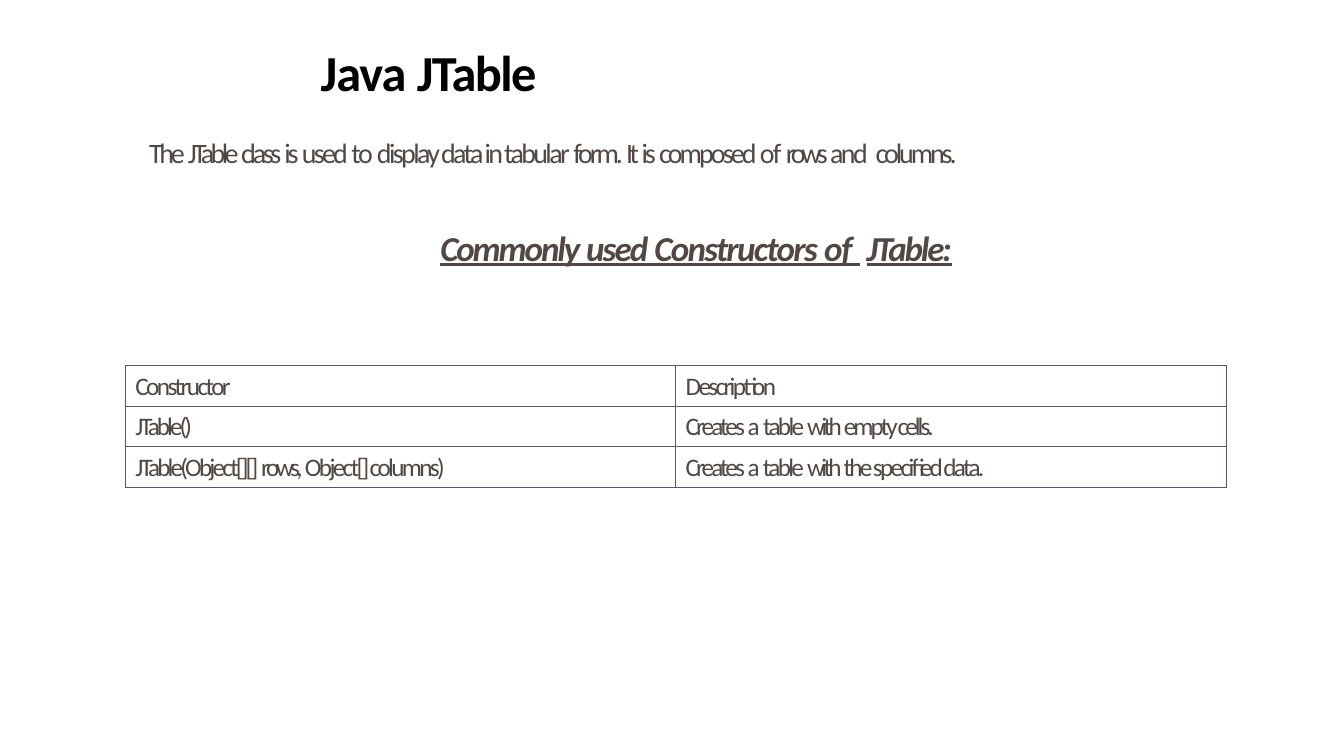
from lxml.etree import SubElement
from pptx import Presentation
from pptx.dml.color import RGBColor
from pptx.enum.text import MSO_ANCHOR
from pptx.oxml.ns import qn
from pptx.util import Cm, Pt

BLACK = RGBColor(0x00, 0x00, 0x00)
BROWN = RGBColor(0x51, 0x47, 0x43)
SLATE = RGBColor(0x52, 0x5A, 0x6A)
FONT = "Calibri"

# Each text is a list of (words, letter spacing in points).
TITLE = [("Java ", -0.7), ("JTable", -1.1)]
INTRO = [
    ("The ", -2.4), ("JTable ", -2.6), ("class ", -2.4), ("is ", -2.2),
    ("used ", -2), ("to ", -1.7), ("display data in tabular ", -1.9),
    ("form. ", -2.2), ("It ", -2.7), ("is ", -2.2), ("composed ", -2.1),
    ("of ", -1.4), ("rows ", -3), ("and", -1.8), (" ", 0.9), ("columns.", -2.2),
]
HEADING = [
    ("Commonly ", -1.5), ("used ", -1.3), ("Constructors ", -1.2),
    ("of", -0.8), (" ", 4.5), ("JTable:", -1.6),
]
CONSTRUCTORS = [
    ([("Constructor", -1.8)], [("Description", -1.9)]),
    ([("JTable()", -2.1)],
     [("Creates ", -2.1), ("a ", -1.7), ("table ", -1.9), ("with ", -2.6),
      ("empty cells.", -2.1)]),
    ([("JTable(Object[][] ", -2), ("rows, ", -2.5), ("Object[] columns)", -1.9)],
     [("Creates ", -2.1), ("a ", -1.8), ("table ", -1.9), ("with ", -2.6),
      ("the specified data.", -1.9)]),
]


def write(paragraph, pieces, size, color=BROWN, before=0):
    """Fill a paragraph with pieces that each have their own letter spacing."""
    paragraph.space_before = Pt(before)
    font = paragraph.font
    font.name, font.size, font.color.rgb = FONT, Pt(size), color
    for words, spacing in pieces:
        run = paragraph.add_run()
        run.text = words
        run._r.get_or_add_rPr().set("spc", str(round(spacing * 100)))
    return paragraph


def add_text_frame(slide, left, top, width, height):
    frame = slide.shapes.add_textbox(left, top, width, height).text_frame
    frame.word_wrap = True
    frame.margin_left = frame.margin_right = frame.margin_bottom = 0
    frame.margin_top = Cm(0.03)
    return frame


def add_title(slide, left, top, width, height):
    frame = add_text_frame(slide, left, top, width, height)
    frame.vertical_anchor = MSO_ANCHOR.MIDDLE
    title = write(frame.paragraphs[0], TITLE, 36, BLACK, before=0.9)
    title.font.bold = True


def add_introduction(slide, left, top, width, height):
    frame = add_text_frame(slide, left, top, width, height)
    write(frame.paragraphs[0], INTRO, 20, before=1.1)
    heading = write(frame.add_paragraph(), HEADING, 25, before=41)
    heading.font.bold = heading.font.italic = heading.font.underline = True
    heading._p.get_or_add_pPr().set("marL", str(Cm(7.34)))


def add_borders(cell):
    properties = cell._tc.get_or_add_tcPr()
    for side in ("a:lnL", "a:lnR", "a:lnT", "a:lnB"):
        line = SubElement(properties, qn(side), w=str(Pt(1)))
        fill = SubElement(line, qn("a:solidFill"))
        SubElement(fill, qn("a:srgbClr"), val=str(SLATE))


def add_constructor_table(slide, left, top, width, height):
    rows, columns = len(CONSTRUCTORS), len(CONSTRUCTORS[0])
    table = slide.shapes.add_table(rows, columns, left, top, width, height).table
    table.first_row = table.horz_banding = False
    for row, texts in enumerate(CONSTRUCTORS):
        for column, pieces in enumerate(texts):
            cell = table.cell(row, column)
            cell.margin_left = Cm(0.25)
            cell.margin_right = cell.margin_bottom = 0
            cell.margin_top = Cm(0.13)
            add_borders(cell)
            cell.fill.background()
            write(cell.text_frame.paragraphs[0], pieces, 18, before=3.6)


def main():
    presentation = Presentation()
    presentation.slide_width = Cm(33.87)
    presentation.slide_height = Cm(19.05)
    slide = presentation.slides.add_slide(presentation.slide_layouts[6])
    add_title(slide, Cm(8.08), Cm(0.99), Cm(12.09), Cm(1.57))
    add_introduction(slide, Cm(3.76), Cm(3.38), Cm(26.97), Cm(3.4))
    add_constructor_table(slide, Cm(3.16), Cm(9.22), Cm(27.74), Cm(3.06))
    presentation.save("out.pptx")


if __name__ == "__main__":
    main()
